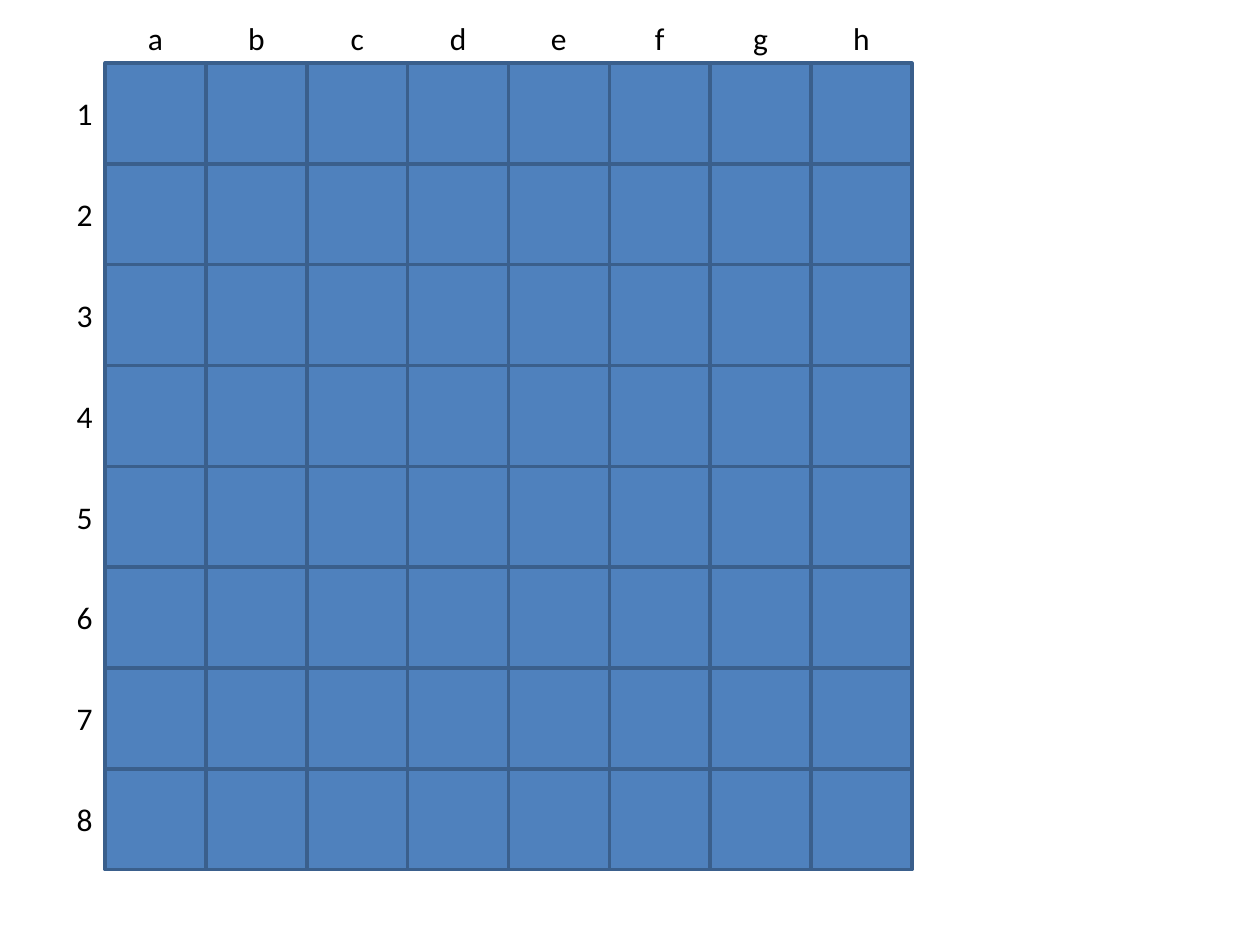
from pptx import Presentation
from pptx.dml.color import RGBColor
from pptx.enum.shapes import MSO_SHAPE
from pptx.enum.text import MSO_AUTO_SIZE, PP_ALIGN
from pptx.util import Cm, Pt

RECT = MSO_SHAPE.RECTANGLE
GROW = MSO_AUTO_SIZE.SHAPE_TO_FIT_TEXT
CENTER = PP_ALIGN.CENTER

COLORS = {"square": "4F81BD", "border": "3A5F8C", "text": "000000"}
FILES = "abcdefgh"
RANKS = "12345678"
LABEL_W, LABEL_H = Cm(0.83), Cm(1.02)


def color(name):
    """Return the named colour."""
    return RGBColor.from_string(COLORS[name])


def add_square(shapes, x, y, size):
    """Add one square of the board."""
    sp = shapes.add_shape(RECT, x, y, size, size)
    sp.shadow.inherit = False
    sp.fill.solid()
    sp.fill.fore_color.rgb = color("square")
    sp.line.color.rgb = color("border")
    sp.line.width = Pt(2)


def add_label(shapes, x, y, text):
    """Add one file or rank label."""
    tf = shapes.add_textbox(x, y, LABEL_W, LABEL_H).text_frame
    tf.word_wrap = False
    tf.auto_size = GROW
    p = tf.paragraphs[0]
    p.text = text
    p.alignment = CENTER
    p.font.name = "Calibri"
    p.font.size = Pt(18)
    p.font.color.rgb = color("text")


def add_board(slide, x, y, size):
    """Add the grouped board with files above and ranks to the left."""
    shapes = slide.shapes.add_group_shape().shapes
    cell = size // len(FILES)
    for row in range(len(RANKS)):
        for col in range(len(FILES)):
            add_square(shapes, x + col * cell, y + row * cell, cell)
    for col, name in enumerate(FILES):
        add_label(shapes, x + col * cell + (cell - LABEL_W) // 2, y - LABEL_H, name)
    for row, name in enumerate(RANKS):
        add_label(shapes, x - LABEL_W, y + row * cell + (cell - LABEL_H) // 2, name)


def main():
    """Build and save the slide."""
    prs = Presentation()
    prs.slide_width, prs.slide_height = Cm(25.4), Cm(19.05)
    slide = prs.slides.add_slide(prs.slide_layouts[6])
    add_board(slide, Cm(2.12), Cm(1.27), Cm(16.26))
    prs.save("out.pptx")


if __name__ == "__main__":
    main()
